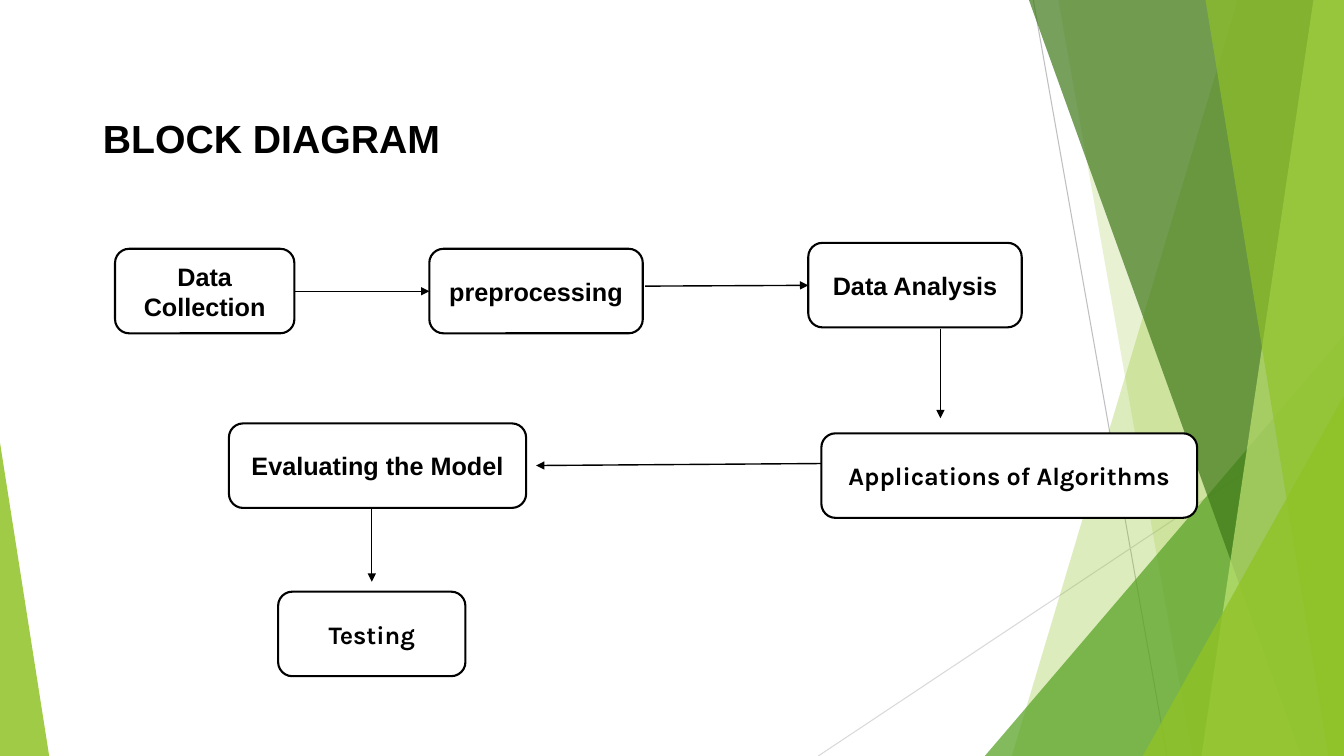
"""Build the block diagram slide with its green faceted backdrop."""
from typing import NamedTuple

from lxml import etree
from pptx import Presentation
from pptx.dml.color import RGBColor
from pptx.enum.shapes import MSO_CONNECTOR, MSO_SHAPE
from pptx.enum.text import MSO_ANCHOR, PP_ALIGN
from pptx.oxml.ns import qn
from pptx.util import Cm, Pt

STRAIGHT = MSO_CONNECTOR.STRAIGHT
TRIANGLE = MSO_SHAPE.ISOSCELES_TRIANGLE
ROUNDED = MSO_SHAPE.ROUNDED_RECTANGLE
MIDDLE = MSO_ANCHOR.MIDDLE
LEFT = PP_ALIGN.LEFT
CENTER = PP_ALIGN.CENTER

SLIDE_WIDTH = 33.87
SLIDE_HEIGHT = 19.05
BOX_HEIGHT = 2.13
BLACK = "000000"
WHITE = "FFFFFF"
LIME = "90C226"


class Line(NamedTuple):
    """A straight line between two points, in centimetres."""
    x1: float
    y1: float
    x2: float
    y2: float
    color: str = BLACK
    weight: float = 1


class Band(NamedTuple):
    """A full-height facet reaching from a slanted edge to the right side."""
    top_x: float
    bottom_x: float
    color: str
    opacity: int


class Wedge(NamedTuple):
    """A right triangle standing on the bottom of the slide."""
    left: float
    top: float
    width: float
    apex: float
    color: str
    opacity: int


class Box(NamedTuple):
    """A labelled step of the diagram."""
    text: str
    left: float
    top: float
    width: float
    font: str = "Arial"


BACKDROP_LINES = [
    Line(26.04, 0, 29.41, SLIDE_HEIGHT, "BFBFBF", 0.75),
    Line(SLIDE_WIDTH, 10.24, 20.62, SLIDE_HEIGHT, "D9D9D9", 0.75),
]
FACETS = [
    Band(31.19, 25.5, LIME, 30),
    Band(26.67, 30.05, LIME, 20),
    Wedge(24.82, 8.46, 9.05, 1, "54A021", 72),
    Band(25.93, 32.79, "3F7819", 70),
    Band(33.1, 30.28, "C0E474", 70),
    Band(30.38, 33.48, LIME, 65),
    Wedge(28.8, 9.98, 5.07, 1, LIME, 80),
    Wedge(0, 11.15, 1.24, 0, LIME, 85),
]
BOXES = [
    Box("Data Collection", 2.9, 6.27, 4.52),
    Box("Applications of Algorithms", 20.7, 10.92, 9.47, "Karla"),
    Box("preprocessing", 10.82, 6.27, 5.38),
    Box("Data Analysis", 20.37, 6.12, 5.38),
    Box("Testing", 7.01, 14.91, 4.72, "Karla"),
    Box("Evaluating the Model", 5.77, 10.67, 7.49),
]
ARROWS = [
    Line(7.44, 7.34, 10.82, 7.34),
    Line(16.26, 7.21, 20.37, 7.19),
    Line(23.7, 8.28, 23.7, 10.54),
    Line(20.7, 11.68, 13.51, 11.73),
    Line(9.37, 12.8, 9.37, 14.66),
]


def set_color(color_format, value: str) -> None:
    """Apply a hex colour to a fill, line or font colour."""
    color_format.rgb = RGBColor.from_string(value)


def set_fill(shape, color: str, opacity: int = 100) -> None:
    """Fill a shape with a colour of the given opacity, without shadow."""
    shape.shadow.inherit = False
    shape.fill.solid()
    set_color(shape.fill.fore_color, color)
    if opacity < 100:
        color_element = shape.element.spPr.find(f"{qn('a:solidFill')}/{qn('a:srgbClr')}")
        etree.SubElement(color_element, qn("a:alpha"), val=str(opacity * 1000))


def add_text(shape, text: str, font: str, size: int, alignment) -> None:
    """Write one bold black run, vertically centred in the shape."""
    shape.text_frame.word_wrap = True
    shape.text_frame.vertical_anchor = MIDDLE
    paragraph = shape.text_frame.paragraphs[0]
    paragraph.alignment = alignment
    run = paragraph.add_run()
    run.text = text
    run.font.name = font
    run.font.size = Pt(size)
    run.font.bold = True
    set_color(run.font.color, BLACK)


def add_line(slide, line: Line, arrow: bool = False) -> None:
    """Draw a line, with an arrowhead at its end if wanted."""
    connector = slide.shapes.add_connector(
        STRAIGHT, Cm(line.x1), Cm(line.y1), Cm(line.x2), Cm(line.y2))
    connector.line.width = Pt(line.weight)
    set_color(connector.line.color, line.color)
    properties = connector.element.spPr
    if arrow:
        etree.SubElement(properties.find(qn("a:ln")), qn("a:tailEnd"), type="triangle")
    etree.SubElement(properties, qn("a:effectLst"))


def add_band(slide, band: Band):
    """Draw the outline of a full-height facet."""
    builder = slide.shapes.build_freeform(Cm(band.top_x), 0)
    builder.add_line_segments([
        (Cm(SLIDE_WIDTH), 0),
        (Cm(SLIDE_WIDTH), Cm(SLIDE_HEIGHT)),
        (Cm(band.bottom_x), Cm(SLIDE_HEIGHT)),
    ], close=True)
    return builder.convert_to_shape()


def add_wedge(slide, wedge: Wedge):
    """Draw the outline of a right triangle."""
    shape = slide.shapes.add_shape(
        TRIANGLE, Cm(wedge.left), Cm(wedge.top),
        Cm(wedge.width), Cm(SLIDE_HEIGHT - wedge.top))
    shape.adjustments[0] = wedge.apex
    return shape


def add_facet(slide, facet: Band | Wedge) -> None:
    """Draw one translucent facet of the backdrop."""
    draw = add_band if isinstance(facet, Band) else add_wedge
    shape = draw(slide, facet)
    set_fill(shape, facet.color, facet.opacity)
    shape.line.fill.background()


def add_box(slide, box: Box) -> None:
    """Draw one rounded step with its label."""
    shape = slide.shapes.add_shape(
        ROUNDED, Cm(box.left), Cm(box.top), Cm(box.width), Cm(BOX_HEIGHT))
    set_fill(shape, WHITE)
    shape.line.width = Pt(1.5)
    set_color(shape.line.color, BLACK)
    add_text(shape, box.text, box.font, 18, CENTER)


def main() -> None:
    """Assemble the slide and save it."""
    presentation = Presentation()
    presentation.slide_width = Cm(SLIDE_WIDTH)
    presentation.slide_height = Cm(SLIDE_HEIGHT)
    slide = presentation.slides.add_slide(presentation.slide_layouts[5])
    title = slide.shapes.title
    title.left, title.top = Cm(2.34), Cm(2.67)
    title.width, title.height = Cm(22), Cm(1.63)
    add_text(title, "BLOCK DIAGRAM", "Arial", 28, LEFT)
    for line in BACKDROP_LINES:
        add_line(slide, line)
    for facet in FACETS:
        add_facet(slide, facet)
    for box in BOXES:
        add_box(slide, box)
    for arrow in ARROWS:
        add_line(slide, arrow, arrow=True)
    presentation.save("out.pptx")


if __name__ == "__main__":
    main()
